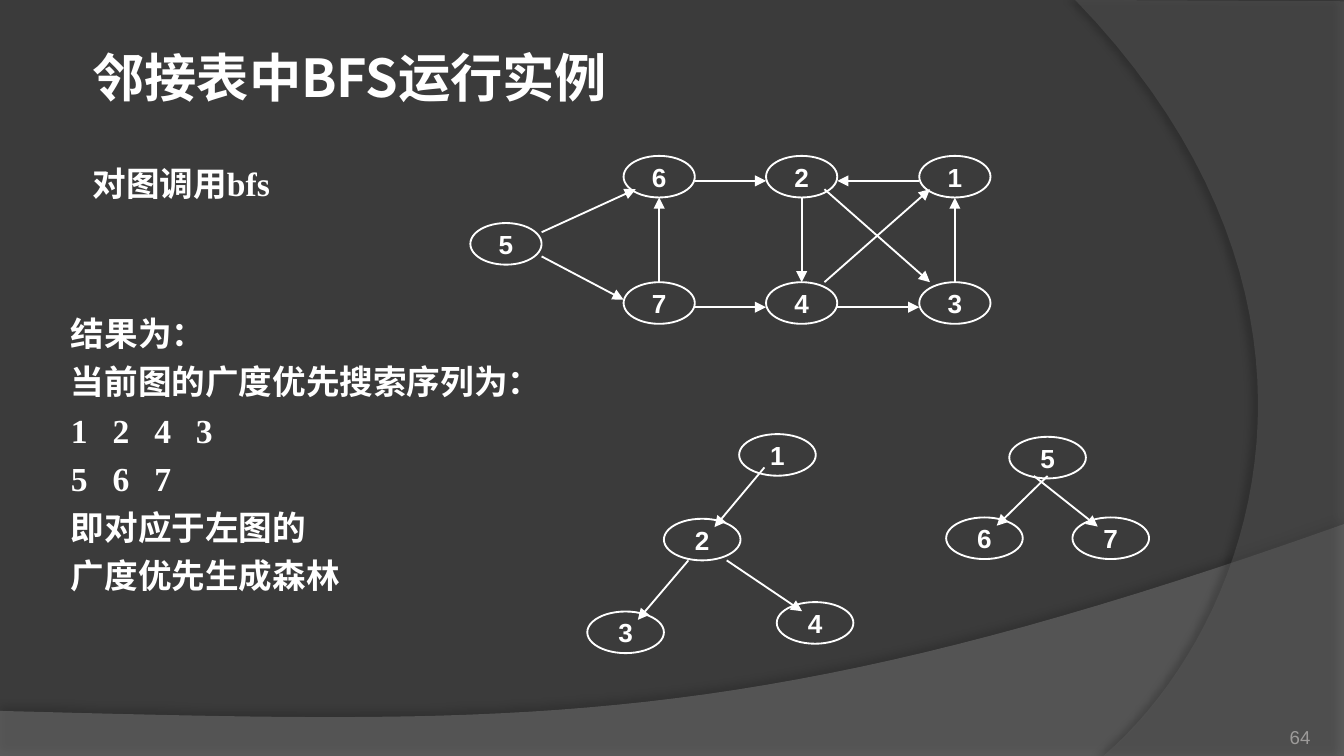
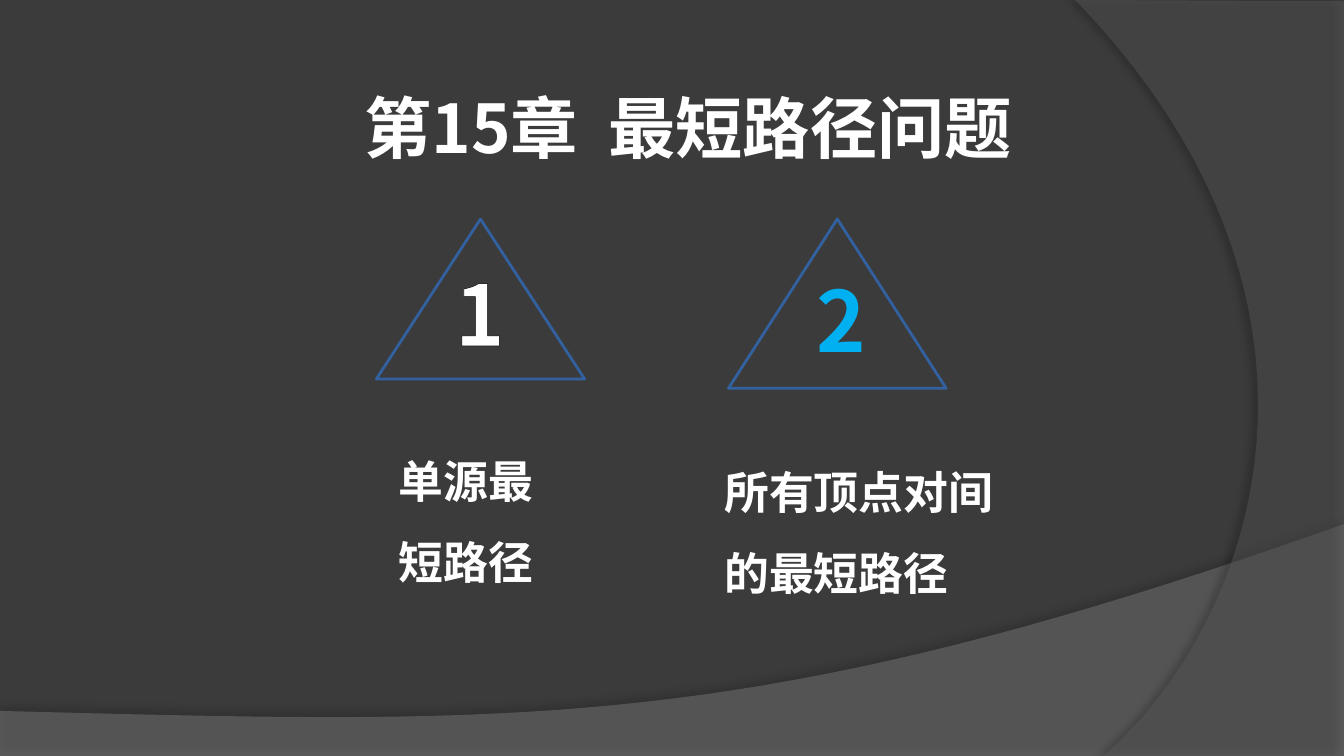
import pptx
import pptx.util
import pptx.oxml
import pptx.oxml.ns
from pptx.dml.color import RGBColor
from pptx.enum.shapes import MSO_CONNECTOR, MSO_SHAPE
from pptx.enum.text import MSO_ANCHOR, MSO_AUTO_SIZE, PP_ALIGN
from pptx.util import Inches

BACKGROUND = RGBColor(0x3B, 0x3B, 0x3B)
WHITE = RGBColor(0xFF, 0xFF, 0xFF)
BLACK = RGBColor(0x00, 0x00, 0x00)
WAVE_GRAY = RGBColor(0x7F, 0x7F, 0x7F)
ARC_GRAY = RGBColor(0x5E, 0x5E, 0x5E)
NUMBER_GRAY = RGBColor(0x9D, 0x9B, 0x9A)
TRIANGLE_BLUE = RGBColor(0x33, 0x61, 0x9F)
BRIGHT_BLUE = RGBColor(0x00, 0xB0, 0xF0)

SANS = "Noto Sans CJK SC"
SERIF = "Times New Roman"
PLAIN = "Arial"

# Widescreen page, 16:9
WIDTH = 10
HEIGHT = WIDTH * 9 / 16

# Points on a node, as fractions of its box
TOP, BOTTOM = (0.5, 0), (0.5, 1)
LEFT, RIGHT = (0, 0.6), (1, 0.6)
TO_LEFT_CHILD, TO_RIGHT_CHILD = (0.66, 0.2), (0.33, 0.22)


def add_xml(parent, tag, **attributes):
    element = parent.makeelement(pptx.oxml.ns.qn(tag),
                                 {name: str(value) for name, value in attributes.items()})
    parent.append(element)
    return element


def write(shape, lines, font, size, color=WHITE, bold=True, align=None,
          spacing=None, inset=(0.1, 0.05)):
    frame = shape.text_frame
    frame.word_wrap = True
    frame.margin_left = frame.margin_right = Inches(inset[0])
    frame.margin_top = frame.margin_bottom = Inches(inset[1])
    frame.text = lines
    for paragraph in frame.paragraphs:
        if align is not None:
            paragraph.alignment = align
        if spacing:
            paragraph.line_spacing = spacing
        for span in paragraph.runs:
            span.font.size = pptx.util.Pt(size)
            span.font.bold = bold
            span.font.color.rgb = color
            span.font.name = font
            add_xml(span.font._element, "a:ea", typeface=SANS)
    return frame


def add_text(page, box, lines, font, size, **style):
    shape = page.shapes.add_textbox(*map(Inches, box))
    frame = write(shape, lines, font, size, **style)
    frame.auto_size = MSO_AUTO_SIZE.SHAPE_TO_FIT_TEXT
    return frame


def add_outline(page, preset, box, color, width):
    shape = page.shapes.add_shape(preset, *map(Inches, box))
    shape.shadow.inherit = False
    shape.fill.background()
    shape.line.color.rgb = color
    shape.line.width = pptx.util.Pt(width)
    return shape


def add_arrow(page, start, end):
    arrow = page.shapes.add_connector(MSO_CONNECTOR.STRAIGHT, *map(Inches, start + end))
    arrow.line.color.rgb = WHITE
    arrow.line.width = pptx.util.Pt(1)
    add_xml(arrow.line._get_or_add_ln(), "a:tailEnd", type="triangle")
    add_xml(arrow._element.spPr, "a:effectLst")


# Shared backdrop
def curve(p0, p1, p2, p3, steps=40):
    """Points along a cubic Bezier curve."""
    points = []
    for step in range(steps + 1):
        t = step / steps
        u = 1 - t
        points.append(tuple(u**3 * a + 3 * u * u * t * b + 3 * u * t * t * c + t**3 * d
                            for a, b, c, d in zip(p0, p1, p2, p3)))
    return points


def add_band(page, points, color, opacity, shade, distance, direction):
    start, *rest = [tuple(map(Inches, point)) for point in points]
    builder = page.shapes.build_freeform(*start)
    builder.add_line_segments(rest, close=True)
    band = builder.convert_to_shape()
    band.line.fill.background()
    band.fill.solid()
    band.fill.fore_color.rgb = color
    properties = band._element.spPr
    fill = properties.find(pptx.oxml.ns.qn("a:solidFill"))
    add_xml(fill[0], "a:alpha", val=opacity * 1000)
    # Soft shadow along the curved edge
    band.shadow.inherit = False
    effects = properties.find(pptx.oxml.ns.qn("a:effectLst"))
    shadow = add_xml(effects, "a:outerShdw", blurRad=pptx.util.Pt(4),
                     dist=pptx.util.Pt(distance), dir=direction * 60000,
                     algn="ctr", rotWithShape=0)
    tint = add_xml(shadow, "a:srgbClr", val=BLACK)
    add_xml(tint, "a:alpha", val=shade * 1000)


def add_page(deck):
    page = deck.slides.add_slide(deck.slide_layouts[6])
    page.background.fill.solid()
    page.background.fill.fore_color.rgb = BACKGROUND
    wave = curve((WIDTH, 3.9), (5.59, 5.47), (3.91, 5.39), (0, 5.29))
    add_band(page, [(0, HEIGHT), (WIDTH, HEIGHT)] + wave, WAVE_GRAY, 45, 35, 3.5, 270)
    arc = curve((8.21, HEIGHT), (9.35, 4.64), (10.18, 2.25), (8, 0))
    add_band(page, [(WIDTH, 0.01), (WIDTH, HEIGHT)] + arc, ARC_GRAY, 40, 45, 4, 180)
    return page


# Graphs and trees
def add_graph(page, left, top, node_size, inset, nodes, edges):
    """Draw nodes {label: offset} and edges (from, point, to, point)."""
    width, height = node_size

    def locate(label, point):
        x, y = nodes[label]
        return left + x + point[0] * width, top + y + point[1] * height

    for label, (x, y) in nodes.items():
        node = add_outline(page, MSO_SHAPE.OVAL, (left + x, top + y, width, height), WHITE, 1)
        frame = write(node, label, PLAIN, 14, align=PP_ALIGN.CENTER, inset=inset)
        frame.vertical_anchor = MSO_ANCHOR.MIDDLE
    for source, leave, target, arrive in edges:
        add_arrow(page, locate(source, leave), locate(target, arrive))


def add_directed_graph(page, left, top):
    columns, lower = (1.14, 2.2, 3.34), 0.94
    nodes = {"5": (0, 0.5)}
    for x, upper_label, lower_label in zip(columns, "621", "743"):
        nodes[upper_label] = (x, 0)
        nodes[lower_label] = (x, lower)
    edges = [(a, RIGHT, b, LEFT) for a, b in ("62", "74", "43")]
    edges += [(a, TOP, b, BOTTOM) for a, b in ("76", "31")]
    edges += [
        ("1", LEFT, "2", RIGHT),
        ("2", BOTTOM, "4", TOP),
        ("2", (0.82, 0.8), "3", (0.15, 0)),
        ("4", (0.82, 0), "1", (0.15, 0.8)),
        ("5", (1, 0.22), "6", (0.17, 0.8)),
        ("5", (1, 0.8), "7", (0, 0.42)),
    ]
    add_graph(page, left, top, (0.53, 0.31), (0.08, 0.04), nodes, edges)


def add_forest(page, left, top):
    nodes = {"1": (1.13, 0), "2": (0.57, 0.63), "3": (0, 1.32), "4": (1.41, 1.25)}
    edges = [
        ("1", (0.33, 0.8), "2", TO_LEFT_CHILD),
        ("2", (0.32, 1), "3", TO_LEFT_CHILD),
        ("2", (0.82, 1), "4", TO_RIGHT_CHILD),
    ]
    size, inset = (0.57, 0.31), (0.1, 0)
    add_graph(page, left, top, size, inset, nodes, edges)
    nodes = {"5": (0.47, 0), "6": (0, 0.6), "7": (0.94, 0.6)}
    edges = [
        ("5", (0.5, 0.94), "6", TO_LEFT_CHILD),
        ("5", (0.32, 0.94), "7", TO_RIGHT_CHILD),
    ]
    add_graph(page, left + 2.67, top + 0.02, size, inset, nodes, edges)


def add_result(page, box):
    lines = ["结果为：", "当前图的广度优先搜索序列为：", "\t".join("1243"), "\t".join("567"),
             "即对应于左图的", "广度优先生成森林"]
    frame = add_text(page, box, "\n".join(lines), SERIF, 18, spacing=1.2)
    for paragraph, line in zip(frame.paragraphs, lines):
        if "\t" in line:
            stops = add_xml(paragraph._p.get_or_add_pPr(), "a:tabLst")
            for stop in range(1, line.count("\t") + 1):
                add_xml(stops, "a:tab", pos=Inches(0.31 * stop), algn="l")


def build_search_page(deck):
    page = add_page(deck)
    add_text(page, (0.59, 0.29, 5.83, 0.57), "邻接表中BFS运行实例", SANS, 28)
    add_text(page, (0.59, 1.16, 2.91, 0.4), "对图调用bfs", SERIF, 18)
    add_directed_graph(page, 3.5, 1.16)
    add_result(page, (0.43, 2.22, 3.94, 2.28))
    add_forest(page, 4.37, 3.23)
    # Page number
    number = page.shapes.add_textbox(*map(Inches, (8.92, 5.27, 0.83, 0.3)))
    frame = write(number, "64", PLAIN, 10, color=NUMBER_GRAY, bold=False,
                  align=PP_ALIGN.RIGHT, inset=(0, 0))
    frame.vertical_anchor = MSO_ANCHOR.BOTTOM


# Chapter opener
def add_topic(page, triangle, number_box, number, color, caption_box, caption, caption_inset):
    add_outline(page, MSO_SHAPE.ISOSCELES_TRIANGLE, triangle, TRIANGLE_BLUE, 1.5)
    add_text(page, caption_box, caption, SANS, 24, spacing=1.5, inset=caption_inset)
    return add_text(page, number_box, number, SANS, 45, color=color, align=PP_ALIGN.CENTER)


def build_chapter_page(deck):
    page = add_page(deck)
    first = add_topic(page, (2.8, 1.63, 1.55, 1.19), (2.84, 1.9, 1.46, 0.86), "1", WHITE,
                      (2.87, 3.13, 1.42, 1.31), "单源最短路径", (0.1, 0.05))
    # Thin black outline on the first numeral
    properties = first.paragraphs[0].runs[0].font._element
    outline = add_xml(properties, "a:ln", w=pptx.util.Pt(0.75))
    add_xml(add_xml(outline, "a:solidFill"), "a:srgbClr", val=BLACK)
    properties.insert(0, outline)
    add_topic(page, (5.42, 1.63, 1.62, 1.26), (5.39, 1.95, 1.74, 0.86), "2", BRIGHT_BLUE,
              (5.39, 3.21, 2.13, 1.92), "所有顶点对间的最短路径", (0, 0.05))
    add_text(page, (2.09, 0.45, 6.06, 0.83), "第15章  最短路径问题", SANS, 36,
             align=PP_ALIGN.CENTER, spacing=1.25, inset=(0.07, 0.04))


def main():
    deck = pptx.Presentation()
    deck.slide_width, deck.slide_height = Inches(WIDTH), Inches(HEIGHT)
    build_search_page(deck)
    build_chapter_page(deck)
    deck.save("out.pptx")


if __name__ == "__main__":
    main()
